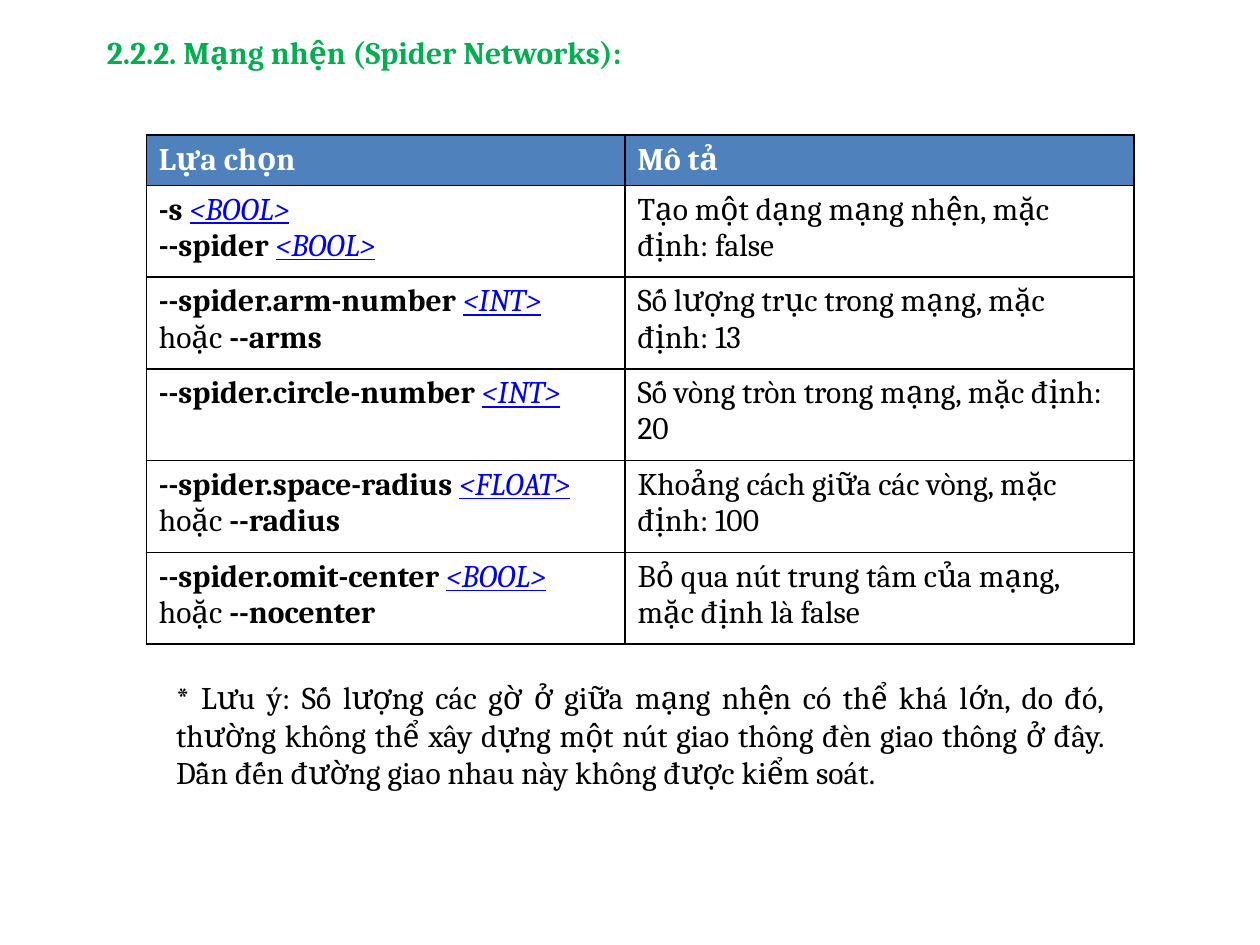
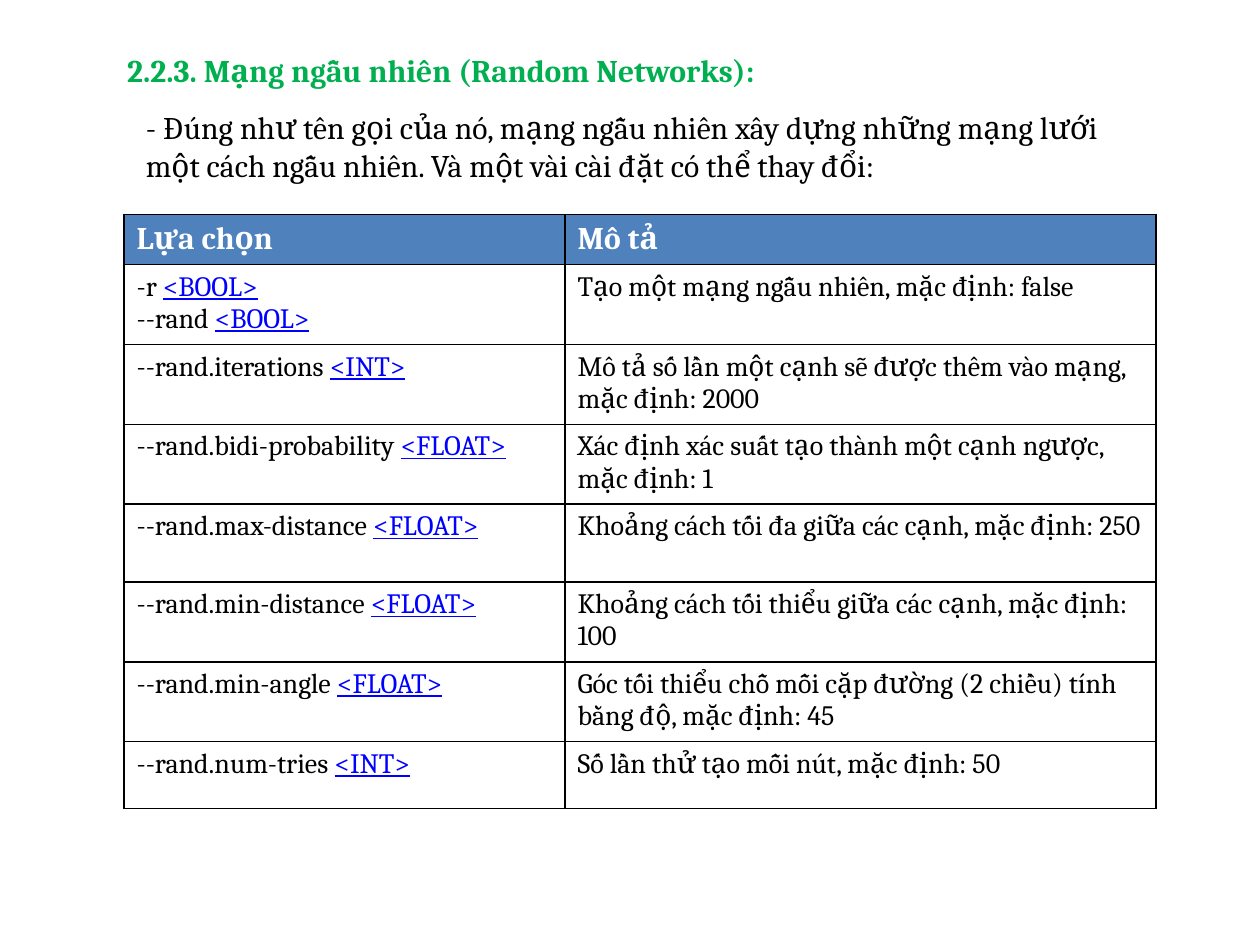
from dataclasses import dataclass

from lxml import etree
from pptx import Presentation
from pptx.dml.color import RGBColor
from pptx.enum.text import MSO_ANCHOR, MSO_AUTO_SIZE, PP_ALIGN
from pptx.oxml.ns import qn
from pptx.util import Cm, Pt

LEFT, JUSTIFY = PP_ALIGN.LEFT, PP_ALIGN.JUSTIFY
TOP, MIDDLE = MSO_ANCHOR.TOP, MSO_ANCHOR.MIDDLE
FIT_SHAPE = MSO_AUTO_SIZE.SHAPE_TO_FIT_TEXT

FONT = "Cambria"
BASE_SIZE = 18
BLACK, WHITE = "000000", "FFFFFF"
TITLE_GREEN, HEADER_BLUE, TYPE_BLUE = "00B050", "4F81BD", "0000FF"
HEADINGS = ("Lựa chọn", "Mô tả")
TITLE_ONLY = 5


@dataclass(frozen=True)
class Box:
    left: float
    top: float
    width: float
    height: float


@dataclass(frozen=True)
class Option:
    flags: tuple[str, ...]
    value_type: str
    description: str
    alias: str = ""


@dataclass(frozen=True)
class OptionTable:
    left: float
    top: float
    column_widths: tuple[float, float]
    row_heights: tuple[float, ...]
    size: int
    emphasis: bool
    options: tuple[Option, ...]


@dataclass(frozen=True)
class NetworkSlide:
    title: str
    title_box: Box
    title_wraps: bool
    note: str
    note_box: Box
    note_alignment: PP_ALIGN
    table: OptionTable


SPIDER = NetworkSlide(
    title="2.2.2. Mạng nhện (Spider Networks):",
    title_box=Box(1.9, 0.53, 11.23, 1.02),
    title_wraps=False,
    note="* Lưu ý: Số lượng các gờ ở giữa mạng nhện có thể khá lớn, do đó, "
         "thường không thể xây dựng một nút giao thông đèn giao thông ở đây. "
         "Dẫn đến đường giao nhau này không được kiểm soát.",
    note_box=Box(3.3, 13.54, 19.2, 2.57),
    note_alignment=JUSTIFY,
    table=OptionTable(
        2.95, 2.72, (9.65, 10.26), (1.01,) + (1.85,) * 5, 18, True,
        (
            Option(("-s", "--spider"), "<BOOL>",
                   "Tạo một dạng mạng nhện, mặc định: false"),
            Option(("--spider.arm-number",), "<INT>",
                   "Số lượng trục trong mạng, mặc định: 13", "--arms"),
            Option(("--spider.circle-number",), "<INT>",
                   "Số vòng tròn trong mạng, mặc định: 20"),
            Option(("--spider.space-radius",), "<FLOAT>",
                   "Khoảng cách giữa các vòng, mặc định: 100", "--radius"),
            Option(("--spider.omit-center",), "<BOOL>",
                   "Bỏ qua nút trung tâm của mạng, mặc định là false",
                   "--nocenter"),
        ),
    ),
)

RANDOM = NetworkSlide(
    title="2.2.3. Mạng ngẫu nhiên (Random Networks):",
    title_box=Box(2.31, 0.91, 15.54, 1.02),
    title_wraps=True,
    note="- Đúng như tên gọi của nó, mạng ngẫu nhiên xây dựng những mạng lưới "
         "một cách ngẫu nhiên. Và một vài cài đặt có thể thay đổi:",
    note_box=Box(2.69, 2.06, 20.4, 1.8),
    note_alignment=LEFT,
    table=OptionTable(
        2.5, 4.32, (8.89, 11.91), (1.01,) + (1.57,) * 6 + (1.35,), 16, False,
        (
            Option(("-r", "--rand"), "<BOOL>",
                   "Tạo một mạng ngẫu nhiên, mặc định: false"),
            Option(("--rand.iterations",), "<INT>",
                   "Mô tả số lần một cạnh sẽ được thêm vào mạng, mặc định: 2000"),
            Option(("--rand.bidi-probability",), "<FLOAT>",
                   "Xác định xác suất tạo thành một cạnh ngược, mặc định: 1"),
            Option(("--rand.max-distance",), "<FLOAT>",
                   "Khoảng cách tối đa giữa các cạnh, mặc định: 250"),
            Option(("--rand.min-distance",), "<FLOAT>",
                   "Khoảng cách tối thiểu giữa các cạnh, mặc định: 100"),
            Option(("--rand.min-angle",), "<FLOAT>",
                   "Góc tối thiểu chỗ mỗi cặp đường (2 chiều) tính bằng độ, "
                   "mặc định: 45"),
            Option(("--rand.num-tries",), "<INT>",
                   "Số lần thử tạo mỗi nút, mặc định: 50"),
        ),
    ),
)


def paint(target, color: str) -> None:
    target.rgb = RGBColor.from_string(color)


def set_font(font, size: int, color: str, bold: bool = False) -> None:
    font.name = FONT
    font.size = Pt(size)
    font.bold = bold
    paint(font.color, color)


def place(shape, box: Box) -> None:
    shape.left, shape.top = Cm(box.left), Cm(box.top)
    shape.width, shape.height = Cm(box.width), Cm(box.height)


def fill_text(shape, text: str, color: str, bold: bool, wrap: bool,
              alignment: PP_ALIGN) -> None:
    frame = shape.text_frame
    frame.text = text
    frame.word_wrap = wrap
    frame.auto_size = FIT_SHAPE
    frame.vertical_anchor = TOP
    paragraph = frame.paragraphs[0]
    paragraph.alignment = alignment
    set_font(paragraph.font, BASE_SIZE, color, bold)


def style_cell(cell, fill: str) -> None:
    properties = cell._tc.get_or_add_tcPr()
    for side in ("a:lnL", "a:lnR", "a:lnT", "a:lnB"):
        border = etree.SubElement(properties, qn(side), w=str(Pt(1)))
        solid = etree.SubElement(border, qn("a:solidFill"))
        etree.SubElement(solid, qn("a:srgbClr"), val=BLACK)
    cell.fill.solid()
    paint(cell.fill.fore_color, fill)


def write_cell(cell, text: str, size: int, color: str, bold: bool = False) -> None:
    cell.text = text
    set_font(cell.text_frame.paragraphs[0].font, size, color, bold)


def add_run(paragraph, text: str, bold: bool):
    run = paragraph.add_run()
    run.text = text
    run.font.bold = bold
    return run


def write_option(cell, option: Option, size: int, emphasis: bool) -> None:
    frame = cell.text_frame
    syntax = frame.paragraphs[0]
    set_font(syntax.font, size, BLACK)
    for index, flag in enumerate(option.flags):
        if index:
            syntax.add_line_break()
        add_run(syntax, f"{flag} ", emphasis)
        value = add_run(syntax, option.value_type, False)
        value.font.italic = emphasis
        value.font.underline = True
        paint(value.font.color, TYPE_BLUE)
    if option.alias:
        alternative = frame.add_paragraph()
        set_font(alternative.font, size, BLACK)
        add_run(alternative, "hoặc ", False)
        add_run(alternative, option.alias, emphasis)


def add_option_table(slide, spec: OptionTable) -> None:
    table = slide.shapes.add_table(
        len(spec.row_heights), len(HEADINGS), Cm(spec.left), Cm(spec.top),
        Cm(sum(spec.column_widths)), Cm(sum(spec.row_heights))).table
    for column, width in zip(table.columns, spec.column_widths):
        column.width = Cm(width)
    for row, height in zip(table.rows, spec.row_heights):
        row.height = Cm(height)
    for column, heading in enumerate(HEADINGS):
        cell = table.cell(0, column)
        style_cell(cell, HEADER_BLUE)
        cell.vertical_anchor = MIDDLE
        write_cell(cell, heading, BASE_SIZE, WHITE, True)
    for row, option in enumerate(spec.options, start=1):
        syntax, description = table.cell(row, 0), table.cell(row, 1)
        style_cell(syntax, WHITE)
        style_cell(description, WHITE)
        write_option(syntax, option, spec.size, spec.emphasis)
        write_cell(description, option.description, spec.size, BLACK)


def add_network_slide(presentation, content: NetworkSlide) -> None:
    slide = presentation.slides.add_slide(presentation.slide_layouts[TITLE_ONLY])
    title = slide.shapes.title
    place(title, content.title_box)
    fill_text(title, content.title, TITLE_GREEN, True, content.title_wraps, LEFT)
    note = slide.shapes.add_textbox(0, 0, 0, 0)
    place(note, content.note_box)
    fill_text(note, content.note, BLACK, False, True, content.note_alignment)
    add_option_table(slide, content.table)


def main() -> None:
    presentation = Presentation()
    presentation.slide_width, presentation.slide_height = Cm(25.4), Cm(19.05)
    for content in (SPIDER, RANDOM):
        add_network_slide(presentation, content)
    presentation.save("out.pptx")


if __name__ == "__main__":
    main()
